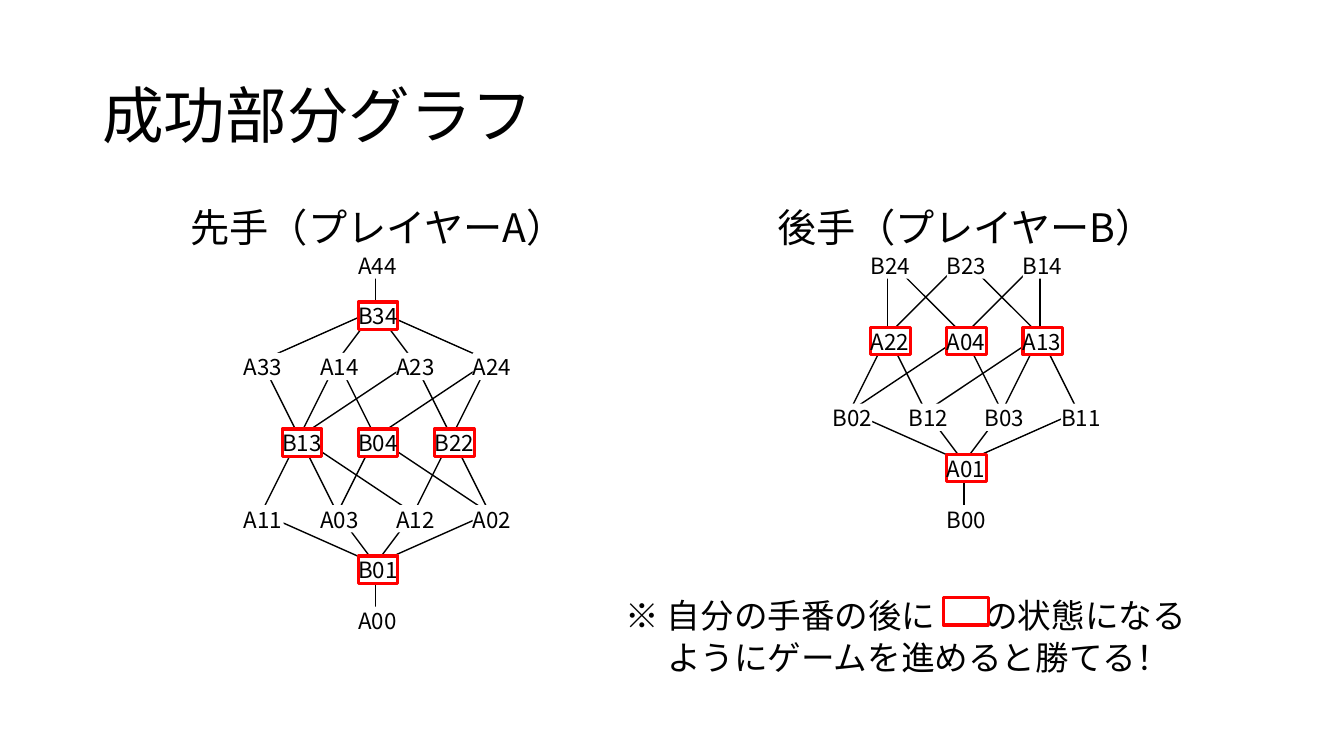
from lxml import etree
from pptx import Presentation
from pptx.dml.color import RGBColor
from pptx.enum.shapes import MSO_CONNECTOR as Connector, MSO_SHAPE as Shape
from pptx.enum.text import MSO_ANCHOR as Anchor, PP_ALIGN as Align
from pptx.oxml.ns import qn
from pptx.util import Cm, Pt

# Content: levels run from top to bottom, edges join a winning state to others
TITLE = "成功部分グラフ"
GRAPHS = [
    {
        "heading": "先手（プレイヤーA）", "heading_left": 2.33, "center": 9.46, "winning": "B",
        "levels": ["A44", "B34", "A33 A14 A23 A24", "B13 B04 B22",
                   "A11 A03 A12 A02", "B01", "A00"],
        "edges": {
            "B34": "A44 A33 A14 A23 A24",
            "B13": "A33 A14 A23 A11 A03 A12",
            "B04": "A14 A24 A03 A02",
            "B22": "A23 A24 A12 A02",
            "B01": "A11 A03 A12 A02 A00",
        },
    },
    {
        "heading": "後手（プレイヤーB）", "heading_left": 17.15, "center": 24.29, "winning": "A",
        "levels": ["B24 B23 B14", "A22 A04 A13", "B02 B12 B03 B11", "A01", "B00"],
        "edges": {
            "A22": "B24 B23 B02 B12",
            "A04": "B24 B14 B02 B03",
            "A13": "B23 B14 B12 B03 B11",
            "A01": "B02 B12 B03 B11 B00",
        },
    },
]
NOTE_START = "※ 自分の手番の後に"
NOTE_GAP = "　"
NOTE_END = "の状態になる\vようにゲームを進めると勝てる！"

THEME = {
    "font": "Noto Sans CJK JP", "line_height": 1.22,
    "title": 44, "heading": 28, "note": 24, "node": 16,
    "ink": RGBColor(0, 0, 0), "paper": RGBColor(255, 255, 255),
    "mark": RGBColor(255, 0, 0), "edge_width": Pt(1), "mark_width": Pt(2.25),
}

# Graph grid, in centimetres
TOP = 6.53
PITCH = 1.92
SHORT_STEP = 1.28
NODE_WIDTH, NODE_HEIGHT = 1.0, 0.69
NODE_OFFSET_X, NODE_OFFSET_Y = -0.43, -0.2

presentation = Presentation()
presentation.slide_width, presentation.slide_height = Cm(33.87), Cm(19.05)
slide = presentation.slides.add_slide(presentation.slide_layouts[6])


def style_text(paragraph, size, align=Align.LEFT):
    paragraph.alignment = align
    paragraph.line_spacing = Pt(round(size * THEME["line_height"], 1))
    for run in paragraph.runs:
        run.font.size = Pt(size)
        run.font.color.rgb = THEME["ink"]
        run.font.name = THEME["font"]
        east_asian = etree.SubElement(run._r.get_or_add_rPr(), qn("a:ea"))
        east_asian.set("typeface", THEME["font"])


def add_text(left, top, width, height, text, size, align=Align.LEFT, anchor=Anchor.TOP):
    text_frame = slide.shapes.add_textbox(Cm(left), Cm(top), Cm(width), Cm(height)).text_frame
    text_frame.word_wrap = True
    text_frame.vertical_anchor = anchor
    text_frame.text = text
    style_text(text_frame.paragraphs[0], size, align)
    return text_frame.paragraphs[0]


def add_box(left, top, width, marked):
    shape = slide.shapes.add_shape(Shape.RECTANGLE, Cm(left), Cm(top), Cm(width), Cm(NODE_HEIGHT))
    shape.shadow.inherit = False
    shape.fill.solid()
    shape.fill.fore_color.rgb = THEME["paper"]
    if marked:
        shape.line.color.rgb = THEME["mark"]
        shape.line.width = THEME["mark_width"]
    else:
        shape.line.fill.background()
    return shape


def add_node(name, x, y, marked):
    shape = add_box(x + NODE_OFFSET_X, y + NODE_OFFSET_Y, NODE_WIDTH, marked)
    text_frame = shape.text_frame
    text_frame.margin_left = text_frame.margin_right = 0
    text_frame.margin_top = text_frame.margin_bottom = 0
    text_frame.word_wrap = False
    text_frame.vertical_anchor = Anchor.MIDDLE
    text_frame.text = name
    style_text(text_frame.paragraphs[0], THEME["node"])


def add_edge(start, end):
    connector = slide.shapes.add_connector(Connector.STRAIGHT, *map(Cm, start + end))
    connector.line.color.rgb = THEME["ink"]
    connector.line.width = THEME["edge_width"]
    etree.SubElement(connector._element.spPr, qn("a:effectLst"))


def place_nodes(graph):
    """Centre each level; a step next to a single node is short."""
    positions, y, previous = {}, TOP, None
    for level in graph["levels"]:
        names = level.split()
        if previous:
            y += SHORT_STEP if 1 in (previous, len(names)) else PITCH
        for column, name in enumerate(names):
            positions[name] = (graph["center"] + (column - (len(names) - 1) / 2) * PITCH, y)
        previous = len(names)
    return positions


# Title
add_text(2.33, 1.02, 29.21, 3.68, TITLE, THEME["title"], anchor=Anchor.MIDDLE)

# Headings and graphs
for graph in GRAPHS:
    add_text(graph["heading_left"], 4.99, 14.4, 1.5, graph["heading"], THEME["heading"], Align.CENTER)
    positions = place_nodes(graph)
    for winning, neighbours in graph["edges"].items():
        for neighbour in neighbours.split():
            add_edge(positions[neighbour], positions[winning])
    for name, (x, y) in positions.items():
        add_node(name, x, y, name.startswith(graph["winning"]))

# Note with a hanging indent and a widened gap for the marker
note = add_text(15.52, 14.86, 15.54, 2.31, "", THEME["note"])
for text in (NOTE_START, NOTE_GAP):
    note.add_run().text = text
note.runs[1]._r.get_or_add_rPr().set("spc", "1080")
for index, line in enumerate(NOTE_END.split("\v")):
    if index:
        note.add_line_break()
    note.add_run().text = line
style_text(note, THEME["note"])
indent = Cm(1.04)
note._p.get_or_add_pPr().set("marL", str(indent))
note._p.get_or_add_pPr().set("indent", str(-indent))
add_box(23.77, 15.06, 1.14, marked=True)

presentation.save("out.pptx")
